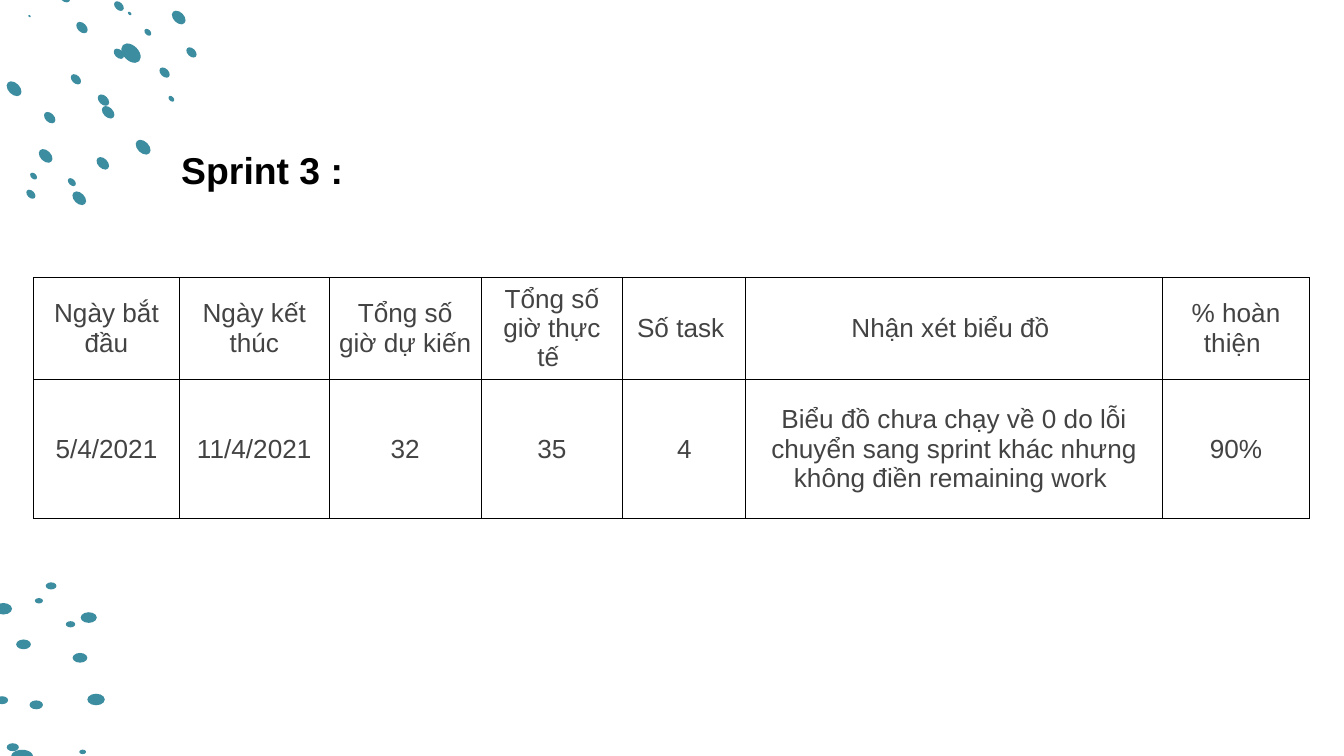
from dataclasses import dataclass

from lxml.etree import SubElement
from pptx import Presentation
from pptx.dml.color import RGBColor as Rgb
from pptx.enum.shapes import MSO_SHAPE as Shape
from pptx.enum.text import MSO_ANCHOR as Anchor, PP_ALIGN as Align
from pptx.oxml.ns import qn
from pptx.util import Pt

SCALE = 4572  # EMU in one px, 200 px to the inch


@dataclass(frozen=True)
class Theme:
    font: str = "Arial"
    dot: str = "3C8DA0"
    ink: str = "000000"
    body: str = "434343"
    head_size: int = 20
    body_size: int = 14
    rule: float = 0.5


THEME = Theme()

# Each dot is its centre x, centre y and width
TOP_DOTS = [
    (195, 79, 34), (220, 48, 12), (193, 20, 6), (177, 9, 17), (122, 41, 20),
    (177, 80, 18), (113, 118, 18), (154, 149, 20), (161, 167, 22),
    (74, 175, 20), (153, 243, 22), (68, 232, 24), (107, 271, 14),
    (118, 295, 24), (50, 262, 12), (46, 289, 16), (213, 219, 26),
    (44, 24, 4), (96, -5, 20), (266, 26, 24), (285, 78, 18),
    (245, 108, 18), (255, 147, 10), (21, 132, 26),
]
LOW_DOTS = [
    (33, 267, 34), (19, 252, 18), (3, 182, 18), (54, 189, 20), (35, 99, 22),
    (119, 119, 22), (105, 69, 14), (132, 59, 24), (58, 34, 12), (76, 12, 16),
    (143, 181, 26), (123, 259, 10), (5, 46, 26),
]

COLS = [217, 223, 226, 211, 183, 620, 219]
ROWS = [150, 208]
CELLS = [
    ["Ngày bắt đầu", "Ngày kết thúc", "Tổng số giờ dự kiến ",
     "Tổng số giờ thực tế ", "Số task ", "Nhận xét biểu đồ ",
     "% hoàn thiện "],
    ["5/4/2021", "11/4/2021", "32", "35", "4",
     "Biểu đồ chưa chạy về 0 do lỗi chuyển sang sprint khác nhưng "
     "không điền remaining work ", "90%"],
]


def px(n):
    return round(n * SCALE)


def write(frame, text, size, color, bold=False, align=Align.LEFT, after=0):
    para = frame.paragraphs[0]
    para.alignment = align
    para.space_after = Pt(after)
    run = para.add_run()
    run.text = text
    font = run.font
    font.name, font.size, font.bold = THEME.font, Pt(size), bold
    font.color.rgb = Rgb.from_string(color)


def add_dots(slide, box, dots, turn=0):
    """Scatter flat ovals, all turned alike, from the corner of the box."""
    left, top = box
    group = slide.shapes.add_group_shape()
    for x, y, wide in dots:
        high = wide * 0.66
        dot = group.shapes.add_shape(
            Shape.OVAL, px(left + x - wide / 2), px(top + y - high / 2),
            px(wide), px(high))
        dot.rotation = turn
        dot.shadow.inherit = False
        dot.fill.solid()
        dot.fill.fore_color.rgb = Rgb.from_string(THEME.dot)
        dot.line.fill.background()


def add_title(slide, box, text):
    frame = slide.shapes.add_textbox(*map(px, box)).text_frame
    frame.word_wrap = False
    frame.vertical_anchor = Anchor.MIDDLE
    frame.margin_left = frame.margin_right = px(20)
    frame.margin_top = frame.margin_bottom = 0
    write(frame, text, THEME.head_size, THEME.ink, bold=True)


def add_rules(cell):
    """Draw a thin line on all four sides of a cell."""
    props = cell._tc.get_or_add_tcPr()
    for side in ("a:lnL", "a:lnR", "a:lnT", "a:lnB"):
        line = SubElement(props, qn(side), w=str(Pt(THEME.rule)))
        fill = SubElement(line, qn("a:solidFill"))
        SubElement(fill, qn("a:srgbClr"), val=THEME.ink)


def add_grid(slide, box):
    left, top = box
    table = slide.shapes.add_table(
        len(ROWS), len(COLS), px(left), px(top),
        px(sum(COLS)), px(sum(ROWS))).table
    table.first_row = table.horz_banding = False
    for col, wide in zip(table.columns, COLS):
        col.width = px(wide)
    for row, high, texts in zip(table.rows, ROWS, CELLS):
        row.height = px(high)
        for cell, text in zip(row.cells, texts):
            add_rules(cell)
            cell.fill.background()
            cell.vertical_anchor = Anchor.MIDDLE
            cell.margin_left = cell.margin_right = px(14)
            cell.margin_top = cell.margin_bottom = px(10)
            write(cell.text_frame, text, THEME.body_size, THEME.body,
                  align=Align.CENTER, after=10)


def main():
    deck = Presentation()
    deck.slide_width, deck.slide_height = px(2000), px(1125)
    slide = deck.slides.add_slide(deck.slide_layouts[6])
    add_dots(slide, (0, 0), TOP_DOTS, turn=225)
    add_dots(slide, (0, 860), LOW_DOTS)
    add_grid(slide, (50, 413))
    add_title(slide, (250, 112, 284, 282), "Sprint 3 :")
    deck.save("out.pptx")


if __name__ == "__main__":
    main()
